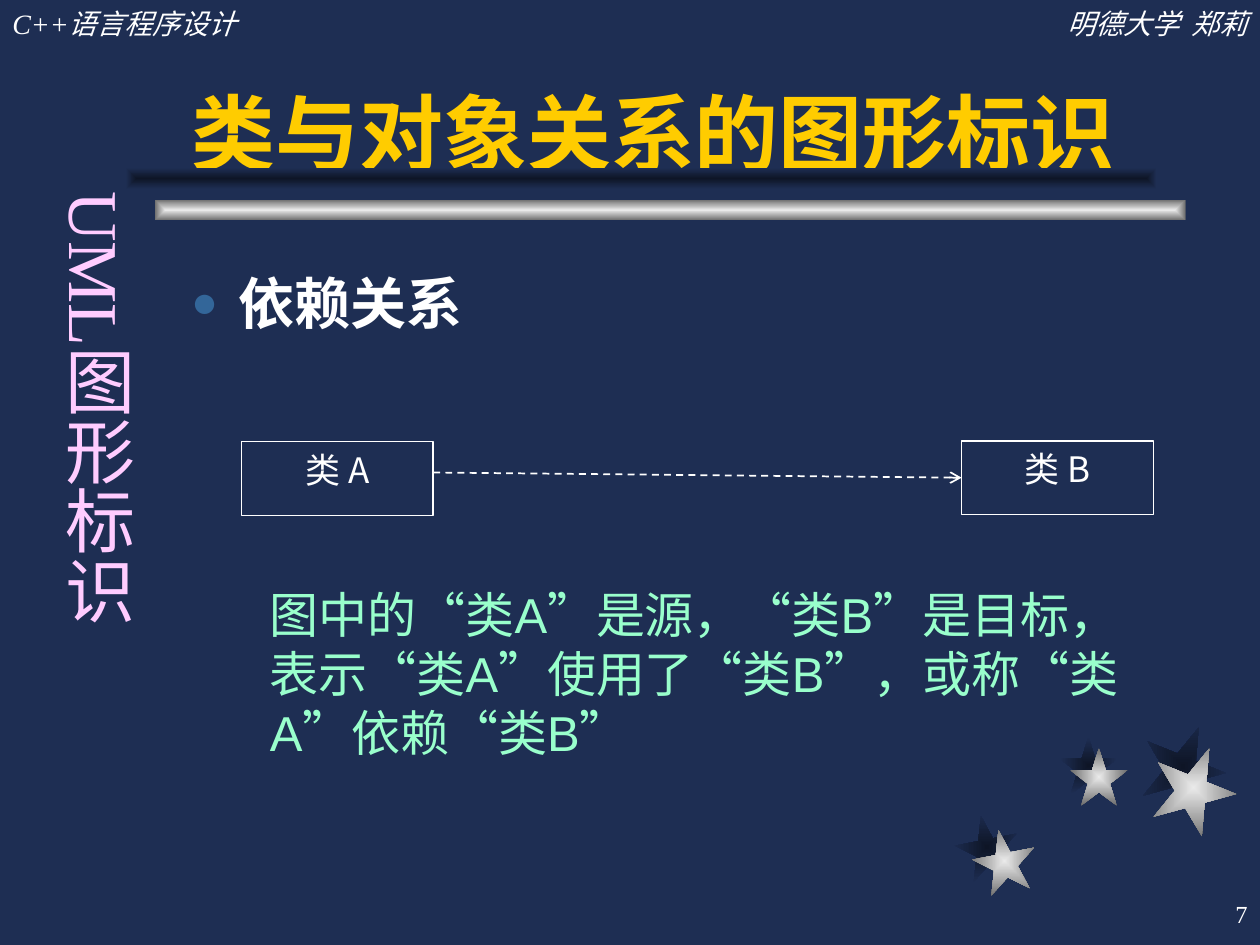
from pptx import Presentation
from pptx.dml.color import RGBColor
from pptx.enum.dml import MSO_LINE
from pptx.enum.lang import MSO_LANGUAGE_ID
from pptx.enum.shapes import MSO_CONNECTOR, MSO_SHAPE
from pptx.enum.text import MSO_ANCHOR, MSO_AUTO_SIZE, PP_ALIGN
from pptx.oxml import parse_xml
from pptx.oxml.ns import nsdecls
from pptx.util import Pt

NAVY, DARK, WHITE = "1E2E53", "0E1526", "FFFFFF"
SILVER, SHADE = ("EAEAEA", "6C6C6C"), (DARK, NAVY)
SERIF, SANS, HAN = "Times New Roman", "Arial", "Noto Sans CJK SC"


def color(code):
    """Turn a hex string into a colour."""
    return RGBColor.from_string(code)


def node(tag, attrs="", inner=""):
    """Make one drawing element."""
    return parse_xml(f"<a:{tag} {nsdecls('a')} {attrs}>{inner}</a:{tag}>")


def place(shape, box):
    """Move a shape to a box of left, top, width and height."""
    shape.left, shape.top, shape.width, shape.height = map(Pt, box)


def write(para, text, size, font, code, bold=False, italic=False):
    """Add one formatted run to a paragraph."""
    run = para.add_run()
    run.text = text
    face = run.font
    face.size, face.name = Pt(size), font
    face.bold, face.italic = bold, italic
    face.color.rgb = color(code)
    face.language_id = MSO_LANGUAGE_ID.SIMPLIFIED_CHINESE
    if font == HAN:
        face._element.append(node("ea", f'typeface="{HAN}"'))


def label(slide, box, text, size, font, code, align=PP_ALIGN.LEFT, **style):
    """Add a text box with one line and return its frame."""
    frame = slide.shapes.add_textbox(*map(Pt, box)).text_frame
    frame.word_wrap = True
    para = frame.paragraphs[0]
    para.alignment = align
    write(para, text, size, font, code, **style)
    return frame


def glow(slide, kind, box, stops, turn=0):
    """Add a shape shaded from its centre outwards."""
    shape = slide.shapes.add_shape(kind, *map(Pt, box))
    shape.shadow.inherit = False
    shape.line.fill.background()
    shape.rotation = turn
    inner, outer = stops
    shape.fill.background()
    props = shape._element.spPr
    old = props.find("{*}noFill")
    props.replace(old, node("gradFill", 'rotWithShape="0"', f"""
        <a:gsLst><a:gs pos="0"><a:srgbClr val="{inner}"/></a:gs>
        <a:gs pos="100000"><a:srgbClr val="{outer}"/></a:gs></a:gsLst>
        <a:path path="rect"><a:fillToRect l="50000" t="50000" r="50000" b="50000"/></a:path>"""))


def stars(slide, box):
    """Scatter three stars, each over its shadow."""
    left, top = box[:2]
    sky = [(10, 60, 36, -11, 10, 8), (65.5, 13.5, 33, 0, 6, 6.5),
           (112, 12, 48, 22, 6, 12)]
    for stops, lift in ((SHADE, 1), (SILVER, 0)):
        for x, y, size, turn, dx, dy in sky:
            spot = (left + x - dx * lift, top + y - dy * lift, size, size)
            glow(slide, MSO_SHAPE.STAR_5_POINT, spot, stops, turn)


def rule(slide, box):
    """Draw the silver bar and its shadow."""
    left, top, width, height = box
    glow(slide, MSO_SHAPE.RECTANGLE, box, SILVER)
    glow(slide, MSO_SHAPE.RECTANGLE, (left - 16.5, top - 18, width, height), SHADE)


def margin(slide, box):
    """Write the course, the author and the page number."""
    left, top, width, height = box
    half = 222
    label(slide, (left, top, half, 26.5), "C++语言程序设计", 16, SERIF, WHITE, italic=True)
    label(slide, (left + width - half, top, half, 26.5), "明德大学  郑莉", 16, SERIF,
          WHITE, PP_ALIGN.RIGHT, italic=True)
    page = label(slide, (left + width - 150, top + height - 36, 150, 36), "7", 14,
                 SERIF, WHITE, PP_ALIGN.RIGHT)
    page.vertical_anchor = MSO_ANCHOR.MIDDLE


def title(slide, box):
    """Fill the title placeholder."""
    shape = slide.shapes.title
    place(shape, box)
    frame = shape.text_frame
    frame.auto_size = MSO_AUTO_SIZE.NONE
    frame.vertical_anchor = MSO_ANCHOR.BOTTOM
    para = frame.paragraphs[0]
    para.alignment = PP_ALIGN.LEFT
    write(para, "类与对象关系的图形标识", 48, SANS, "FFCC00", bold=True)


def body(slide, box):
    """Fill the body placeholder with the heading and its note."""
    shape = slide.placeholders[1]
    place(shape, box)
    frame = shape.text_frame
    frame.auto_size = MSO_AUTO_SIZE.NONE
    head, note = frame.paragraphs[0], frame.add_paragraph()
    note.level = 1
    for para, gap, left, hang in ((head, 8, 27, -27), (note, 142, 45, 0)):
        para.space_before = Pt(gap)
        props = para._p.get_or_add_pPr()
        props.set("marL", str(Pt(left)))
        props.set("indent", str(Pt(hang)))
    marks = head._p.get_or_add_pPr()
    marks.append(node("buClr", "", '<a:srgbClr val="336699"/>'))
    marks.append(node("buSzPct", 'val="80000"'))
    marks.append(node("buChar", 'char="●"'))
    note._p.get_or_add_pPr().append(node("buNone"))
    write(head, "依赖关系", 32, SANS, WHITE, bold=True)
    write(note, "图中的“类A”是源，“类B”是目标，表示“类A”使用了“类B”，或称“类A”依赖“类B”",
          28, SANS, "99FFCC")


def card(slide, box, text):
    """Draw one class box."""
    shape = slide.shapes.add_shape(MSO_SHAPE.RECTANGLE, *map(Pt, box))
    shape.shadow.inherit = False
    shape.fill.background()
    shape.line.color.rgb = color(WHITE)
    shape.line.width = Pt(0.75)
    frame = shape.text_frame
    frame.vertical_anchor = MSO_ANCHOR.TOP
    para = frame.paragraphs[0]
    para.alignment = PP_ALIGN.CENTER
    write(para, text, 20, HAN, WHITE)
    return shape


def graph(slide, box):
    """Draw class A depending on class B."""
    left, top, width, height = box
    wide = 109.5
    card(slide, (left, top + 0.5, wide, height), "类 A")
    goal = card(slide, (left + width - wide, top, wide, height), "类 B")
    ends = (left + wide, top + 18, left + width - wide, top + height / 2)
    link = slide.shapes.add_connector(MSO_CONNECTOR.STRAIGHT, *map(Pt, ends))
    link.end_connect(goal, 1)
    link.line.color.rgb = color(WHITE)
    link.line.width = Pt(1)
    link.line.dash_style = MSO_LINE.DASH
    link.line._get_or_add_ln().append(node("tailEnd", 'type="arrow"'))
    link._element.spPr.append(node("effectLst"))


def side(slide, box):
    """Write the vertical heading."""
    frame = label(slide, box, "UML图形标识", 40, SERIF, "FFCCFF", PP_ALIGN.CENTER)
    frame.margin_left = frame.margin_right = Pt(3.6)
    frame.margin_top = frame.margin_bottom = Pt(7.2)
    frame._txBody.bodyPr.set("vert", "eaVert")


def main():
    """Build and save the slide."""
    deck = Presentation()
    deck.slide_width, deck.slide_height = Pt(720), Pt(540)
    slide = deck.slides.add_slide(deck.slide_layouts[1])
    fill = slide.background.fill
    fill.solid()
    fill.fore_color.rgb = color(NAVY)
    stars(slide, (546, 414, 160, 98))
    rule(slide, (88.5, 114, 589, 12))
    margin(slide, (0, 0, 720, 540))
    title(slide, (102, 18, 564, 90))
    body(slide, (102, 150, 570, 324))
    graph(slide, (138, 252, 521, 42))
    side(slide, (21.5, 102, 62, 372))
    deck.save("out.pptx")


if __name__ == "__main__":
    main()
